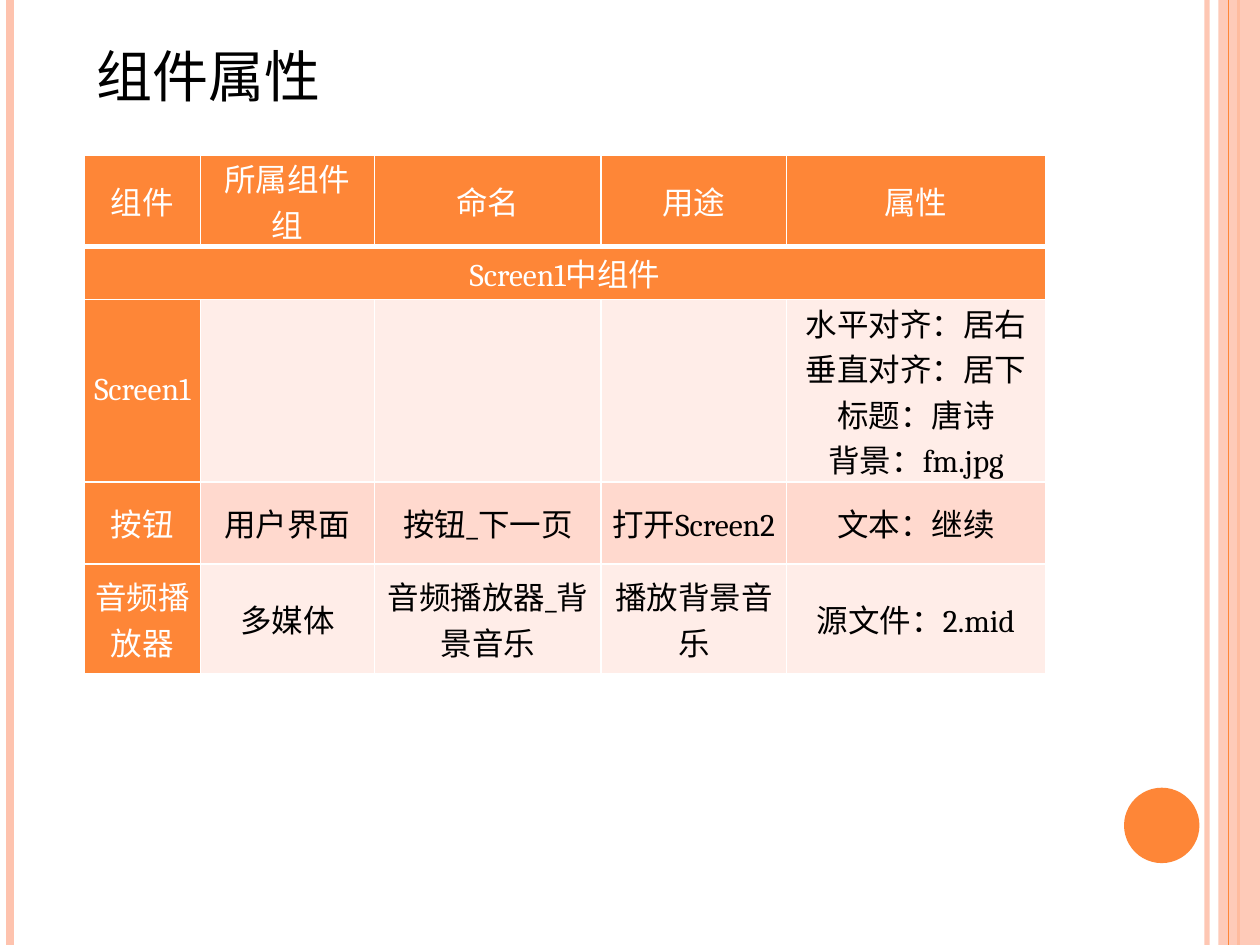
from lxml.etree import SubElement
from pptx import Presentation
from pptx.dml.color import RGBColor
from pptx.enum.shapes import MSO_CONNECTOR, MSO_SHAPE
from pptx.enum.text import MSO_ANCHOR, MSO_AUTO_SIZE, PP_ALIGN
from pptx.oxml.ns import qn
from pptx.util import Cm, Pt

COLOURS = {
    "orange": "FE8637",
    "peach": "FEC3AE",
    "light": "FFEDE8",
    "band": "FFD9CE",
    "white": "FFFFFF",
    "black": "000000",
}
FONT = "Cambria"
PAGE_WIDTH, PAGE_HEIGHT = 25.4, 19.05

COLUMN_WIDTHS = [2.34, 3.51, 4.57, 3.73, 5.23]
ROW_HEIGHTS = [1.12, 1.07, 3.58, 1.12, 2.21]
COMPONENTS = [
    ["组件", "所属组件组", "命名", "用途", "属性"],
    ["Screen1中组件", "", "", "", ""],
    ["Screen1", "", "", "",
     "水平对齐：居右\n垂直对齐：居下\n标题：唐诗\n背景：fm.jpg"],
    ["按钮", "用户界面", "按钮_下一页", "打开Screen2", "文本：继续"],
    ["音频播放器", "多媒体", "音频播放器_背景音乐", "播放背景音乐", "源文件：2.mid"],
]


def rgb(name):
    return RGBColor.from_string(COLOURS[name])


def set_alpha(fill_owner, percent):
    colour = next(fill_owner.iter(qn("a:srgbClr")))
    SubElement(colour, qn("a:alpha"), val=str(percent * 1000))


def add_span(para, text, size, colour):
    span = para.add_run()
    span.text = text
    span.font.size = Pt(size)
    span.font.name = FONT
    span.font.color.rgb = rgb(colour)


def add_stripe(page, x, height, colour, weight, alpha=100):
    stripe = page.shapes.add_connector(
        MSO_CONNECTOR.STRAIGHT, Cm(x), Cm(0), Cm(x), Cm(height))
    stripe.line.color.rgb = rgb(colour)
    stripe.line.width = Pt(weight)
    if alpha < 100:
        set_alpha(stripe.line._ln, alpha)
    SubElement(stripe._element.spPr, qn("a:effectLst"))


def add_solid(page, kind, left, top, width, height, colour):
    solid = page.shapes.add_shape(kind, Cm(left), Cm(top), Cm(width), Cm(height))
    solid.shadow.inherit = False
    solid.fill.solid()
    solid.fill.fore_color.rgb = rgb(colour)
    solid.line.fill.background()
    return solid


def add_decoration(page, width, height):
    # Stripes along both edges
    add_stripe(page, width - 1.07, height, "peach", 3, 93)
    add_stripe(page, 0.2, height, "peach", 4.5)
    add_stripe(page, width - 0.43, height, "orange", 1.5)
    band = add_solid(page, MSO_SHAPE.RECTANGLE, width - 0.84, 0, 0.84, height, "peach")
    set_alpha(band._element.spPr, 87)
    add_stripe(page, width - 0.64, height, "orange", 0.75)
    # Page number disc
    add_solid(page, MSO_SHAPE.OVAL, width - 2.74, height - 3.17, 1.52, 1.52, "orange")


def set_borders(cell, bottom):
    properties = cell._tc.get_or_add_tcPr()
    weights = {"a:lnL": 1, "a:lnR": 1, "a:lnT": 1, "a:lnB": bottom}
    for position, (tag, weight) in enumerate(weights.items()):
        edge = SubElement(properties, qn(tag), w=str(Pt(weight)))
        fill = SubElement(edge, qn("a:solidFill"))
        SubElement(fill, qn("a:srgbClr"), val=COLOURS["white"])
        properties.insert(position, edge)


def fill_cell(cell, text, row, column):
    heading = row < 2 or column == 0
    body_fill = "band" if row % 2 else "light"
    cell.fill.solid()
    cell.fill.fore_color.rgb = rgb("orange" if heading else body_fill)
    set_borders(cell, 3 if row == 0 else 1)
    cell.vertical_anchor = MSO_ANCHOR.MIDDLE
    cell.margin_left = cell.margin_right = Cm(0.18)
    cell.margin_top = cell.margin_bottom = 0
    if not text:
        return
    for index, line in enumerate(text.split("\n")):
        frame = cell.text_frame
        para = frame.add_paragraph() if index else frame.paragraphs[0]
        para.alignment = PP_ALIGN.CENTER
        add_span(para, line, 18, "white" if heading else "black")


def add_component_table(page, left, top):
    table = page.shapes.add_table(
        len(ROW_HEIGHTS), len(COLUMN_WIDTHS), Cm(left), Cm(top),
        Cm(sum(COLUMN_WIDTHS)), Cm(sum(ROW_HEIGHTS))).table
    for column, width in zip(table.columns, COLUMN_WIDTHS):
        column.width = Cm(width)
    for row, height in zip(table.rows, ROW_HEIGHTS):
        row.height = Cm(height)
    for row, texts in enumerate(COMPONENTS):
        for column, text in enumerate(texts):
            fill_cell(table.cell(row, column), text, row, column)
    # Section row across all columns
    table.cell(1, 0).merge(table.cell(1, len(COLUMN_WIDTHS) - 1))


def add_title(page, left, top, width, height):
    box = page.shapes.add_textbox(Cm(left), Cm(top), Cm(width), Cm(height))
    box.text_frame.word_wrap = False
    box.text_frame.auto_size = MSO_AUTO_SIZE.SHAPE_TO_FIT_TEXT
    add_span(box.text_frame.paragraphs[0], "组件属性", 32, "black")


def main():
    deck = Presentation()
    deck.slide_width, deck.slide_height = Cm(PAGE_WIDTH), Cm(PAGE_HEIGHT)
    page = deck.slides.add_slide(deck.slide_layouts[6])
    add_decoration(page, PAGE_WIDTH, PAGE_HEIGHT)
    add_component_table(page, 1.7, 3.13)
    add_title(page, 1.7, 0.71, 5.08, 1.62)
    deck.save("out.pptx")


if __name__ == "__main__":
    main()
